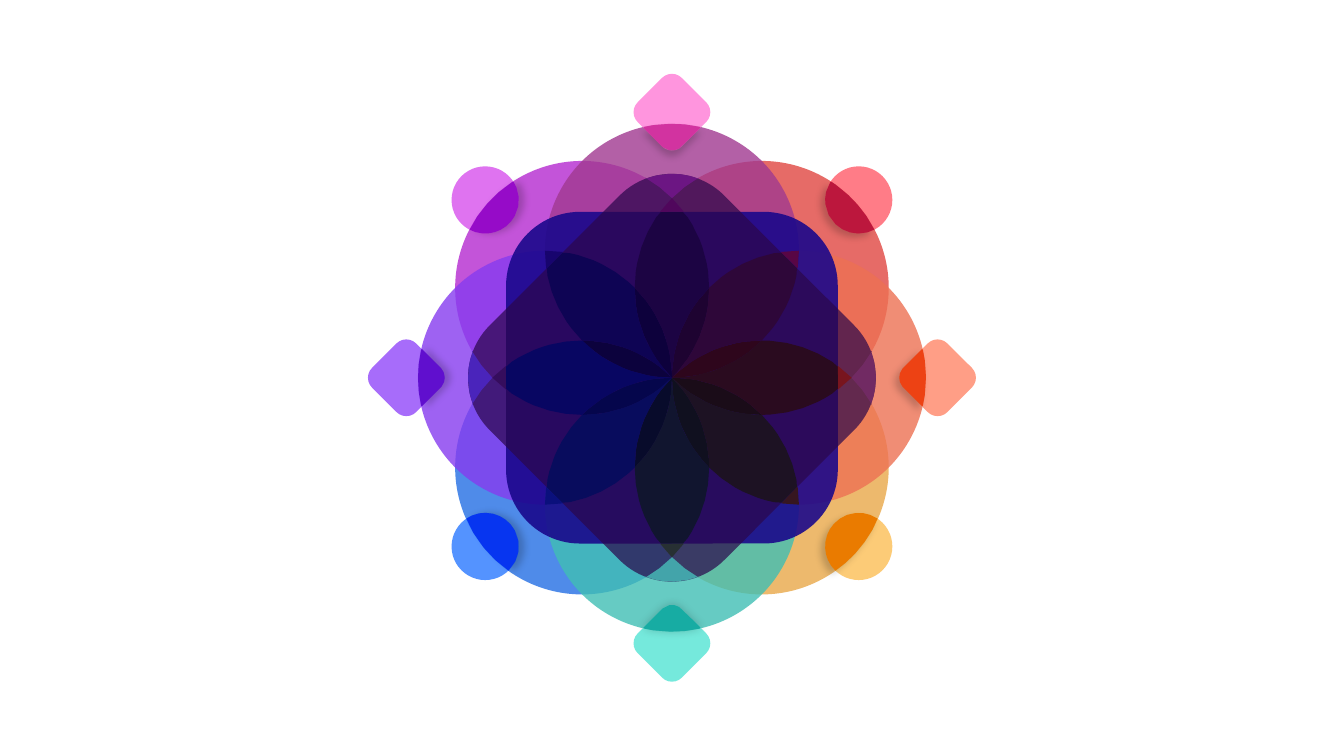
from dataclasses import dataclass
from math import cos, hypot, pi, radians, sin, sqrt
from typing import Callable

from lxml import etree
from pptx import Presentation
from pptx.dml.color import RGBColor
from pptx.enum.shapes import MSO_SHAPE
from pptx.oxml.ns import qn
from pptx.util import Cm

OVAL = MSO_SHAPE.OVAL
ROUNDED = MSO_SHAPE.ROUNDED_RECTANGLE

CENTRE_X, CENTRE_Y = 12.7, 7.14
PETAL_RADIUS = 2.4
SQUARE_SIZE = 6.27
DIAMOND_SIZE = 1.18
DISC_SIZE = 1.27
CORNER_RATIO = 0.223
DIAMOND_DISTANCE = 5.02
OVERLAP_SHIFT = 0.45
BAND_STEPS = 24
OVERLAP_STEPS = 180
TOLERANCE = 0.01

Radius = Callable[[float], float]
Point = tuple[float, float]


@dataclass(frozen=True)
class Ink:
    color: str
    opacity: int = 100


@dataclass(frozen=True)
class Shadow:
    direction: int
    blur: float = 4
    distance: float = 3
    opacity: int = 20


@dataclass(frozen=True)
class Petal:
    angle: int
    color: str


@dataclass(frozen=True)
class Marker:
    x: float
    y: float
    petal_angle: int
    color: str
    overlap_color: str
    shadow: Shadow
    diamond: bool = False

    @property
    def size(self) -> float:
        return DIAMOND_SIZE if self.diamond else DISC_SIZE

    def contains(self, x: float, y: float) -> bool:
        dx, dy = x - self.x, y - self.y
        if not self.diamond:
            return hypot(dx, dy) <= self.size / 2
        corner = CORNER_RATIO * self.size
        flat = self.size / 2 - corner
        across = max(abs(dx + dy) / sqrt(2) - flat, 0)
        along = max(abs(dx - dy) / sqrt(2) - flat, 0)
        return hypot(across, along) <= corner


@dataclass(frozen=True)
class Band:
    first_angle: float
    half_angle: float
    inner: Radius
    outer: Radius
    inks: tuple[Ink, ...]


@dataclass(frozen=True)
class Theme:
    soft: int = 80
    square: Ink = Ink("19078B", 89)
    turned_square: Ink = Ink("2B074B", 71)
    slivers: tuple[str, ...] = (
        "1A0C18", "10101F", "080B2B", "05064C", "0C023D", "0D013C", "1E0331", "2E061C")
    blades: tuple[str, ...] = (
        "2A0B1F", "1D1223", "11152F", "080C5D", "080662", "0E0454", "1C0443", "2E0739")
    tips: tuple[Ink, ...] = (
        Ink("78151E"), Ink("361620"), Ink("273033"), Ink("0A107C"),
        Ink("2B074B", 60), Ink("17046E"), Ink("50075C"), Ink("580645"))
    crests: tuple[str, ...] = ("712A63", "43A4AA", "4A24BB", "6C1683")


THEME = Theme()

PETALS = (
    Petal(315, "E04741"), Petal(135, "246FE4"), Petal(225, "B42AD0"), Petal(45, "E9A849"),
    Petal(180, "863BEF"), Petal(0, "ED7153"), Petal(270, "A13990"), Petal(90, "40BFB4"),
)

MARKERS = (
    Marker(0, -DIAMOND_DISTANCE, 270, "FF7BD6", "D233A0", Shadow(90), True),
    Marker(0, DIAMOND_DISTANCE, 90, "53E4D4", "17ACA3", Shadow(0, 5, 0), True),
    Marker(-3.53, -3.36, 225, "D751ED", "960BC8", Shadow(0)),
    Marker(3.53, -3.36, 315, "FF5C6A", "BC173D", Shadow(135)),
    Marker(-3.53, 3.19, 135, "2A78FF", "0735F0", Shadow(0)),
    Marker(3.53, 3.19, 45, "FCBE55", "EA7B00", Shadow(135)),
    Marker(DIAMOND_DISTANCE, 0, 0, "FF8668", "ED4214", Shadow(135), True),
    Marker(-DIAMOND_DISTANCE, 0, 180, "9248F9", "600FCE", Shadow(0), True),
)


def solid(colors: tuple[str, ...]) -> tuple[Ink, ...]:
    return tuple(Ink(color) for color in colors)


def petal_edge(offset: float, sign: int = 1) -> Radius:
    return lambda angle: 2 * PETAL_RADIUS * cos(radians(offset) + sign * abs(angle))


def square_side(angle: float) -> float:
    return SQUARE_SIZE / 2 / cos(angle)


def square_corner(angle: float) -> float:
    corner = CORNER_RATIO * SQUARE_SIZE
    distance = (SQUARE_SIZE / 2 - corner) * sqrt(2)
    return distance * cos(angle) + sqrt(corner ** 2 - (distance * sin(angle)) ** 2)


def clipped_edge(angle: float) -> float:
    return min(petal_edge(45)(angle), square_side(angle))


BANDS = (
    Band(22.5, 22.5, lambda angle: 0, petal_edge(67.5), solid(THEME.slivers)),
    Band(0, 22.5, petal_edge(90, -1), clipped_edge, solid(THEME.blades)),
    Band(0, 7.6, petal_edge(45, -1), square_corner, solid(THEME.crests)),
    Band(0, 4, square_side, petal_edge(45), THEME.tips),
)


def paint(shape, ink: Ink, shadow: Shadow | None = None) -> None:
    shape.fill.solid()
    shape.fill.fore_color.rgb = RGBColor.from_string(ink.color)
    shape.line.fill.background()
    shape.shadow.inherit = False
    properties = shape._element.spPr
    if ink.opacity < 100:
        color = properties.find(qn("a:solidFill")).find(qn("a:srgbClr"))
        etree.SubElement(color, qn("a:alpha"), val=str(ink.opacity * 1000))
    if shadow:
        outer = etree.SubElement(
            properties.find(qn("a:effectLst")), qn("a:outerShdw"),
            blurRad=str(int(shadow.blur * 12700)), dist=str(int(shadow.distance * 12700)),
            dir=str(shadow.direction * 60000), algn="ctr", rotWithShape="0")
        color = etree.SubElement(outer, qn("a:srgbClr"), val="000000")
        etree.SubElement(color, qn("a:alpha"), val=str(shadow.opacity * 1000))


def draw_preset(shapes, kind, x: float, y: float, size: float, ink: Ink,
                rotation: int = 0) -> None:
    shape = shapes.add_shape(kind, Cm(CENTRE_X + x - size / 2), Cm(CENTRE_Y + y - size / 2),
                             Cm(size), Cm(size))
    shape.rotation = rotation
    if kind == ROUNDED:
        shape.adjustments[0] = CORNER_RATIO
    paint(shape, ink)


def chord_gap(point: Point, start: Point, end: Point) -> float:
    dx, dy = end[0] - start[0], end[1] - start[1]
    px, py = point[0] - start[0], point[1] - start[1]
    length = dx * dx + dy * dy
    share = min(max((px * dx + py * dy) / length, 0), 1) if length else 0
    return hypot(px - share * dx, py - share * dy)


def simplify(points: list[Point]) -> list[Point]:
    if len(points) < 3:
        return points
    gaps = [chord_gap(point, points[0], points[-1]) for point in points[1:-1]]
    widest = max(gaps)
    if widest <= TOLERANCE:
        return [points[0], points[-1]]
    split = gaps.index(widest) + 1
    return simplify(points[:split + 1])[:-1] + simplify(points[split:])


def draw_outline(shapes, points: list[Point], ink: Ink, shadow: Shadow | None = None) -> None:
    vertices = [(Cm(CENTRE_X + x), Cm(CENTRE_Y + y)) for x, y in simplify(points)]
    builder = shapes.build_freeform(*vertices[0])
    builder.add_line_segments(vertices[1:], close=True)
    paint(builder.convert_to_shape(), ink, shadow)


def petal_centre(angle: int) -> Point:
    return PETAL_RADIUS * cos(radians(angle)), PETAL_RADIUS * sin(radians(angle))


def draw_band(shapes, band: Band) -> None:
    half = radians(band.half_angle)
    sweep = [half * (2 * step / BAND_STEPS - 1) for step in range(BAND_STEPS + 1)]
    rim = [(band.outer(angle), angle) for angle in sweep]
    rim += [(band.inner(angle), angle) for angle in reversed(sweep)]
    for index, ink in enumerate(band.inks):
        axis = radians(band.first_angle + index * 360 / len(band.inks))
        points = [(radius * cos(axis + angle), radius * sin(axis + angle))
                  for radius, angle in rim]
        draw_outline(shapes, points, ink)


def draw_overlap(shapes, marker: Marker) -> None:
    petal_x, petal_y = petal_centre(marker.petal_angle)
    shrink = 1 - OVERLAP_SHIFT / hypot(marker.x, marker.y)
    start_x, start_y = marker.x * shrink, marker.y * shrink
    points = []
    for step in range(OVERLAP_STEPS):
        angle = 2 * pi * step / OVERLAP_STEPS
        near, far = 0.0, 2 * marker.size
        for _ in range(16):
            middle = (near + far) / 2
            x, y = start_x + middle * cos(angle), start_y + middle * sin(angle)
            if marker.contains(x, y) and hypot(x - petal_x, y - petal_y) <= PETAL_RADIUS:
                near = middle
            else:
                far = middle
        points.append((start_x + near * cos(angle), start_y + near * sin(angle)))
    draw_outline(shapes, points, Ink(marker.overlap_color), marker.shadow)


def main() -> None:
    presentation = Presentation()
    presentation.slide_width, presentation.slide_height = Cm(25.4), Cm(14.29)
    slide = presentation.slides.add_slide(presentation.slide_layouts[6])
    shapes = slide.shapes.add_group_shape().shapes
    for petal in PETALS:
        draw_preset(shapes, OVAL, *petal_centre(petal.angle), 2 * PETAL_RADIUS,
                    Ink(petal.color, THEME.soft))
    draw_preset(shapes, ROUNDED, 0, 0, SQUARE_SIZE, THEME.square)
    draw_preset(shapes, ROUNDED, 0, 0, SQUARE_SIZE, THEME.turned_square, 315)
    for marker in MARKERS:
        draw_preset(shapes, ROUNDED if marker.diamond else OVAL, marker.x, marker.y,
                    marker.size, Ink(marker.color, THEME.soft), 315 if marker.diamond else 0)
    for band in BANDS:
        draw_band(shapes, band)
    for marker in MARKERS:
        draw_overlap(shapes, marker)
    presentation.save("out.pptx")


if __name__ == "__main__":
    main()
